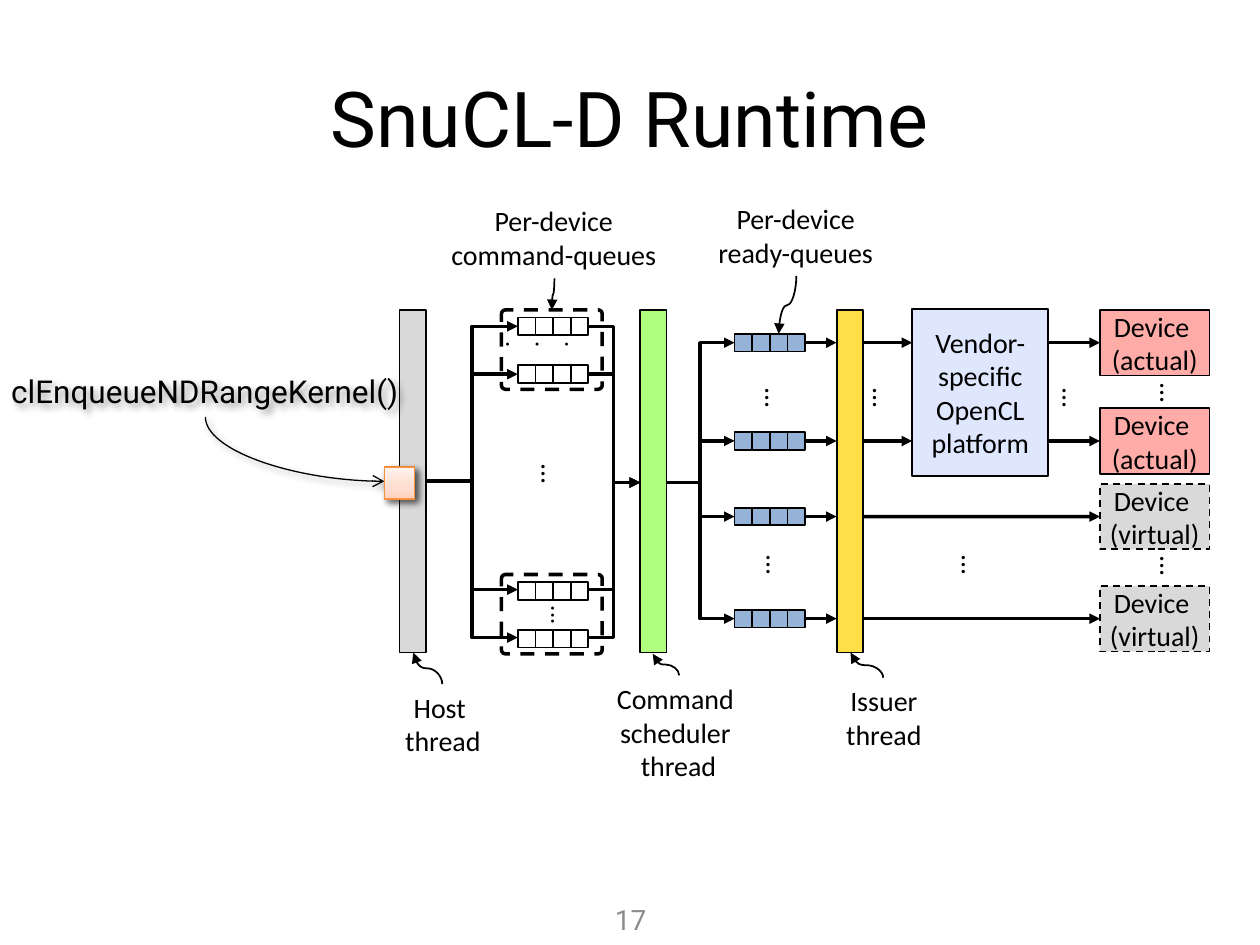
from lxml import etree
from pptx import Presentation, util as u
from pptx.dml.color import RGBColor
from pptx.enum import dml, shapes, text
from pptx.oxml import parse_xml
from pptx.oxml.ns import nsdecls, qn

INCH = u.Inches
KIND = shapes.MSO_SHAPE
LINK = shapes.MSO_CONNECTOR
CENTER, LEFT = text.PP_ALIGN.CENTER, text.PP_ALIGN.LEFT


def color(hex_string):
    return RGBColor.from_string(hex_string)


class Diagram:
    font = "Calibri"
    title_font = "Roboto"
    ink = "000000"
    size = 16
    cell = 0.14

    def __init__(self, slide):
        self.slide = slide
        self.shapes = slide.shapes

    def set_text(self, frame, lines, size=None, font=None, ink=None, align=CENTER):
        for index, line in enumerate(lines):
            para = frame.paragraphs[0] if index == 0 else frame.add_paragraph()
            para.text = line
            para.alignment = align
            para.font.size = u.Pt(size or self.size)
            para.font.name = font or self.font
            para.font.color.rgb = color(ink or self.ink)

    def title(self, line):
        title = self.shapes.title
        title.left, title.top = INCH(0.5), INCH(0.3)
        title.width, title.height = INCH(9), INCH(1.25)
        title.text_frame.vertical_anchor = text.MSO_ANCHOR.MIDDLE
        self.set_text(title.text_frame, [line], 44, self.title_font)

    def label(self, x, y, w, h, lines, wrap=False, parent=None, **style):
        box = (parent or self.shapes).add_textbox(INCH(x), INCH(y), INCH(w), INCH(h))
        box.text_frame.word_wrap = wrap
        box.text_frame.auto_size = text.MSO_AUTO_SIZE.SHAPE_TO_FIT_TEXT
        self.set_text(box.text_frame, lines, **style)
        return box

    def dots(self, x, y, w, h=0.37, **options):
        """Vertical ellipsis: a line of three dots turned by a quarter."""
        box = self.label(x, y, w, h, ["..."], wrap=True, align=LEFT, **options)
        box.rotation = 90

    def box(self, x, y, w, h, fill=None, lines=(), dashed=False, weight=1,
            kind=KIND.RECTANGLE, parent=None):
        box = (parent or self.shapes).add_shape(kind, INCH(x), INCH(y), INCH(w), INCH(h))
        box.shadow.inherit = False
        if fill:
            box.fill.solid()
            box.fill.fore_color.rgb = color(fill)
        else:
            box.fill.background()
        box.line.color.rgb = color(self.ink)
        box.line.width = u.Pt(weight)
        if dashed:
            box.line.dash_style = dml.MSO_LINE.DASH
        frame = box.text_frame
        frame.margin_left = frame.margin_right = INCH(0.07)
        frame.margin_top = frame.margin_bottom = 0
        frame.vertical_anchor = text.MSO_ANCHOR.MIDDLE
        self.set_text(frame, lines)
        return box

    def queue(self, x, middle, fill, parent=None):
        """Draw four cells in a row and return the last one."""
        parent = parent or self.shapes.add_group_shape().shapes
        for index in range(4):
            cell = self.box(x + index * self.cell, middle - self.cell / 2,
                            self.cell, self.cell, fill, parent=parent)
        return cell

    def arrow(self, start, end, kind=LINK.STRAIGHT, weight=2, head="triangle"):
        link = self.shapes.add_connector(kind, *(INCH(v) for v in (*start, *end)))
        link.line.color.rgb = color(self.ink)
        link.line.width = u.Pt(weight)
        etree.SubElement(link.get_or_add_ln(), qn("a:tailEnd"), type=head)
        etree.SubElement(link.element.spPr, qn("a:effectLst"))
        return link

    def curve(self, start, end, turn=270, **style):
        """Curve that leaves vertically: a horizontal one turned by 90 or 270 degrees."""
        mid_x, mid_y = (start[0] + end[0]) / 2, (start[1] + end[1]) / 2
        sign = 1 if turn == 90 else -1
        ends = [(mid_x + sign * (y - mid_y), mid_y - sign * (x - mid_x))
                for x, y in (start, end)]
        link = self.arrow(*ends, kind=LINK.CURVE, **{"weight": 1, **style})
        link.element.spPr.find(qn("a:xfrm")).set("rot", str(turn * 60000))
        return link

    def cast_shadow(self, shape):
        properties = shape.element.spPr
        effects = properties.find(qn("a:effectLst"))
        if effects is None:
            effects = etree.SubElement(properties, qn("a:effectLst"))
        effects.append(parse_xml(
            f'<a:outerShdw {nsdecls("a")} blurRad="50800" dist="38100" dir="2700000" '
            'algn="tl" rotWithShape="0"><a:srgbClr val="000000"><a:alpha val="40000"/>'
            '</a:srgbClr></a:outerShdw>'))

    def command(self, x, y):
        box = self.box(x, y, 0.24, 0.25, "FFDED0", weight=0.75)
        box.line.color.rgb = color("F69240")
        stops = "".join(f'<a:gs pos="{place * 1000}"><a:srgbClr val="{tone}"/></a:gs>'
                        for place, tone in ((0, "FFD2BD"), (35, "FFDED0"), (100, "FFF2ED")))
        solid = box.element.spPr.find(qn("a:solidFill"))
        box.element.spPr.replace(solid, parse_xml(
            f'<a:gradFill {nsdecls("a")} rotWithShape="1"><a:gsLst>{stops}</a:gsLst>'
            '<a:lin ang="16200000" scaled="0"/></a:gradFill>'))
        self.cast_shadow(box)


def main():
    deck = Presentation()
    deck.slide_width, deck.slide_height = INCH(10), INCH(7.5)
    page = Diagram(deck.slides.add_slide(deck.slide_layouts[5]))
    page.title("SnuCL-D Runtime")

    command_rows = (2.59, 2.97, 4.68, 5.06)
    device_rows = (2.72, 3.5, 4.1, 4.91)

    # Wiring behind the threads and queues
    for row in command_rows:
        page.arrow((3.38, 3.82), (4.11, row), LINK.ELBOW)
        page.arrow((4.66, row), (5.08, 3.83), LINK.ELBOW)
    for row in device_rows:
        page.arrow((5.28, 3.83), (5.83, row), LINK.ELBOW)

    # Ready queues, devices and the platform between them
    for index, row in enumerate(device_rows):
        actual = index < 2
        last_cell = page.queue(5.83, row, "95B3D7")
        page.arrow((6.39, row), (6.64, row)).begin_connect(last_cell, 3)
        device = page.box(8.73, row - 0.26, 0.87, 0.52, "FFACA9" if actual else "D9D9D9",
                          ["Device ", "(actual)" if actual else "(virtual)"],
                          dashed=not actual)
        if actual:
            page.arrow((6.78, row), (7.24, row))
        page.arrow((8.32 if actual else 6.78, row), (8.73, row)).end_connect(device, 1)
    page.box(7.24, 2.45, 1.08, 1.33, "DFE7FF", ["Vendor-specific", "OpenCL", "platform"])

    # Command queues, two to a dashed frame
    for top, dots in ((2.46, (4.3, 2.47, 0.29, 0.57)), (4.56, (4.16, 4.83, 0.58, 0.34))):
        group = page.shapes.add_group_shape().shapes
        frame = page.box(3.98, top, 0.8, 0.63, dashed=True, weight=2,
                         kind=KIND.ROUNDED_RECTANGLE, parent=group)
        frame.adjustments[0] = 0.05
        page.dots(*dots, parent=group, size=14)
        for offset in (0.13, 0.51):
            page.queue(4.11, top + offset, "FFFFFF", group)

    for x, y, w in ((4.16, 3.62, 0.45), (5.95, 3, 0.42), (5.98, 4.31, 0.38),
                    (6.75, 3.06, 0.53), (7.53, 4.31, 0.38), (8.31, 3, 0.42),
                    (9.11, 2.94, 0.37), (9.11, 4.31, 0.37)):
        page.dots(x, y, w)

    # Threads
    for x, fill in ((3.17, "D9D9D9"), (5.08, "B0FF7F"), (6.64, "FFDF47")):
        page.box(x, 2.46, 0.21, 2.72, fill)

    # Captions and their pointers
    for x, y, w, h, lines in (
            (3.47, 1.57, 1.85, 0.64, ["Per-device", "command-queues"]),
            (5.59, 1.55, 1.45, 0.64, ["Per-device", "ready-queues"]),
            (3.11, 5.43, 0.81, 0.64, ["Host ", "thread"]),
            (4.79, 5.36, 1.19, 0.94, ["Command ", "scheduler ", "thread"]),
            (6.61, 5.38, 0.81, 0.64, ["Issuer", "thread"])):
        page.label(x, y, w, h, lines)
    page.curve((4.4, 2.21), (4.38, 2.46), turn=90)
    page.curve((6.32, 2.19), (6.18, 2.65), turn=90)
    for start, end in (((3.51, 5.43), (3.28, 5.18)), ((5.39, 5.36), (5.18, 5.19)),
                       ((7.01, 5.38), (6.75, 5.18))):
        page.curve(start, end)

    # The call that enqueues a command
    call = page.label(-0.01, 2.9, 3.28, 0.4, ["clEnqueueNDRangeKernel()"],
                      size=18, font=page.title_font, align=LEFT)
    page.cast_shadow(call)
    enqueue = page.curve((1.63, 3.31), (3.05, 3.82), weight=0.75, head="arrow")
    enqueue.element.spPr.find(qn("a:prstGeom")).set("prst", "curvedConnector2")
    page.cast_shadow(enqueue)
    for y in (3.7, 3.71):
        page.command(3.05, y)

    number = page.label(4.61, 7.1, 0.79, 0.4, ["17"], wrap=True,
                        font=page.title_font, ink="8C8C8C")
    number.text_frame.vertical_anchor = text.MSO_ANCHOR.MIDDLE
    deck.save("out.pptx")


if __name__ == "__main__":
    main()
